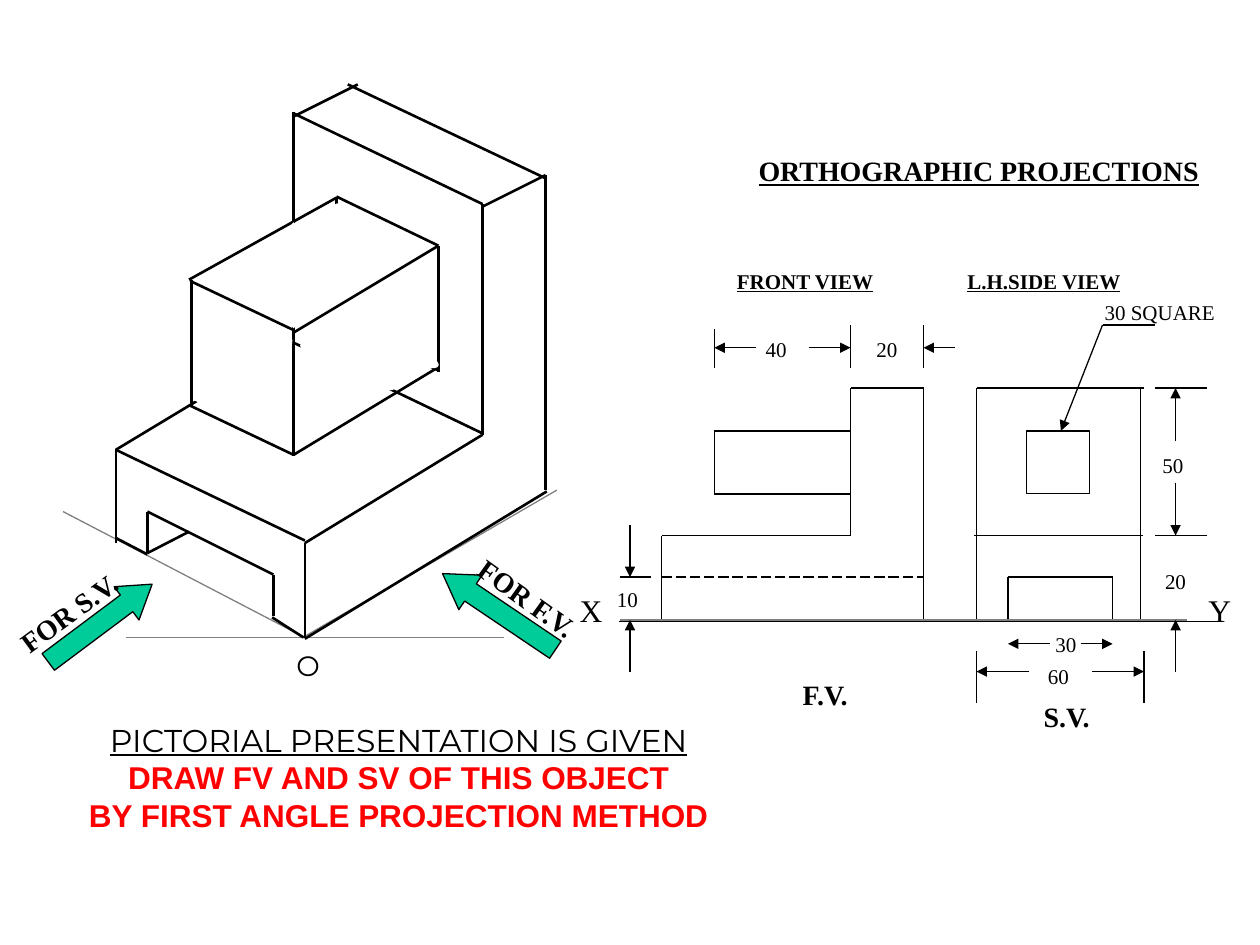
from dataclasses import dataclass
from itertools import pairwise

from lxml import etree
from pptx import Presentation
from pptx.dml.color import RGBColor
from pptx.enum.dml import MSO_LINE
from pptx.enum.shapes import MSO_CONNECTOR, MSO_SHAPE
from pptx.enum.text import MSO_ANCHOR, MSO_AUTO_SIZE, PP_ALIGN
from pptx.oxml.ns import qn
from pptx.util import Emu, Pt

PX = 9144
STRAIGHT = MSO_CONNECTOR.STRAIGHT
LONG_DASH = MSO_LINE.LONG_DASH
RECTANGLE, ELLIPSE = MSO_SHAPE.RECTANGLE, MSO_SHAPE.OVAL
PARALLELOGRAM, LEFT_ARROW = MSO_SHAPE.PARALLELOGRAM, MSO_SHAPE.LEFT_ARROW
LEFT, CENTER = PP_ALIGN.LEFT, PP_ALIGN.CENTER
TOP, NO_AUTOFIT = MSO_ANCHOR.TOP, MSO_AUTO_SIZE.NONE
BLACK, WHITE, GRAY, GREEN, RED = "000000", "FFFFFF", "808080", "00CC99", "FF0000"
SERIF = "Times New Roman"
THIN, THICK = 0.75, 1.5


@dataclass(frozen=True)
class Box:
    left: int
    top: int
    width: int
    height: int
    rotation: float = 0


@dataclass(frozen=True)
class Figure:
    kind: int
    box: Box
    fill: str = WHITE
    line: str = WHITE
    adjustments: tuple[float, ...] = ()
    flipped: bool = False


@dataclass(frozen=True)
class Label:
    text: str
    box: Box
    size: int = 12
    font: str = SERIF
    bold: bool = False
    underline: bool = False
    align: int = CENTER


def px(length: int) -> Emu:
    return Emu(length * PX)


def color(value: str) -> RGBColor:
    return RGBColor.from_string(value)


def draw_path(slide, points, line=BLACK, width=THIN, dash=None, arrow=False) -> None:
    for start, end in pairwise(points):
        connector = slide.shapes.add_connector(STRAIGHT, *map(px, start + end))
        connector.line.color.rgb = color(line)
        connector.line.width = Pt(width)
        if dash is not None:
            connector.line.dash_style = dash
        properties = connector._element.spPr
        if arrow:
            outline = properties.find(qn("a:ln"))
            etree.SubElement(outline, qn("a:tailEnd"), type="triangle")
        etree.SubElement(properties, qn("a:effectLst"))


def draw_paths(slide, paths, **style) -> None:
    for points in paths:
        draw_path(slide, points, **style)


def draw_figure(slide, figure: Figure) -> None:
    box = figure.box
    shape = slide.shapes.add_shape(
        figure.kind, px(box.left), px(box.top), px(box.width), px(box.height))
    shape.rotation = box.rotation
    for index, value in enumerate(figure.adjustments):
        shape.adjustments[index] = value
    if figure.flipped:
        shape._element.spPr.find(qn("a:xfrm")).set("flipH", "1")
    shape.shadow.inherit = False
    shape.fill.solid()
    shape.fill.fore_color.rgb = color(figure.fill)
    shape.line.color.rgb = color(figure.line)
    shape.line.width = Pt(THIN)


def write_text(paragraph, text: str, size=12, font=SERIF, fill=BLACK,
               bold=False, underline=False, align=CENTER) -> None:
    paragraph.alignment = align
    run = paragraph.add_run()
    run.text = text
    run.font.size = Pt(size)
    run.font.name = font
    run.font.color.rgb = color(fill)
    run.font.bold = bold
    run.font.underline = underline


def place_frame(shape, box: Box):
    shape.left, shape.top = px(box.left), px(box.top)
    shape.width, shape.height = px(box.width), px(box.height)
    shape.rotation = box.rotation
    frame = shape.text_frame
    frame.word_wrap = False
    frame.auto_size = NO_AUTOFIT
    frame.vertical_anchor = TOP
    frame.margin_left = frame.margin_right = px(10)
    frame.margin_top = frame.margin_bottom = px(5)
    return frame


def draw_label(slide, label: Label, shape=None) -> None:
    shape = shape or slide.shapes.add_textbox(0, 0, 0, 0)
    frame = place_frame(shape, label.box)
    write_text(frame.paragraphs[0], label.text, size=label.size, font=label.font,
               bold=label.bold, underline=label.underline, align=label.align)


VIEW_OUTLINES = [
    [(733, 492), (733, 308), (675, 308), (675, 425), (525, 425), (525, 492), (733, 492)],
    [(675, 342), (567, 342), (567, 392), (675, 392)],
    [(800, 492), (775, 492), (775, 308), (908, 308)],
    [(905, 308), (905, 492)],
    [(800, 492), (800, 458), (883, 458), (883, 492), (908, 492)],
    [(773, 425), (907, 425)],
]
EXTENSION_LINES = [
    [(567, 261), (567, 292)], [(675, 258), (675, 292)], [(733, 258), (733, 292)],
    [(917, 308), (958, 308)], [(917, 425), (958, 425)],
    [(775, 517), (775, 558)], [(908, 517), (908, 558)],
    [(492, 458), (517, 458)], [(875, 258), (917, 258)],
]
DIMENSION_ARROWS = [
    [(875, 258), (842, 342)],
    [(933, 350), (933, 308)], [(933, 383), (933, 425)], [(933, 533), (933, 492)],
    [(817, 533), (775, 533)], [(867, 533), (908, 533)],
    [(858, 511), (883, 511)], [(833, 511), (800, 511)],
    [(500, 417), (500, 458)], [(500, 533), (500, 492)],
    [(600, 276), (567, 276)], [(642, 276), (675, 276)], [(758, 276), (733, 276)],
]
DIMENSION_VALUES = [
    ("40", 598, 262), ("20", 686, 262), ("20", 915, 446), ("50", 913, 354),
    ("60", 822, 522), ("30", 828, 496), ("10", 480, 461),
]
GUIDE_LINES = [
    [(100, 506), (400, 506)], [(242, 505), (442, 389)], [(242, 506), (50, 406)],
]
SOLID_EDGES = [
    [(242, 506), (242, 431), (383, 345), (383, 162), (233, 90)],
    [(383, 344), (233, 272), (233, 89)],
    [(433, 389), (433, 139)], [(434, 142), (276, 67)],
    [(383, 164), (433, 139)], [(234, 92), (284, 67)],
    [(242, 429), (92, 357), (233, 272)], [(92, 431), (92, 356)],
    [(348, 295), (348, 195), (267, 156)],
    [(348, 294), (267, 255), (267, 156)],
    [(150, 222), (267, 157)], [(233, 361), (347, 292)],
    [(233, 362), (233, 262), (151, 223)],
    [(233, 361), (151, 322)], [(152, 322), (152, 222)],
]
HIDDEN_EDGE_MASKS = [
    Figure(PARALLELOGRAM, Box(142, 256, 102, 75, 24.2), adjustments=(0.34,), flipped=True),
    Figure(ELLIPSE, Box(229, 177, 8, 83)),
    Figure(ELLIPSE, Box(260, 162, 15, 93)),
    Figure(ELLIPSE, Box(252, 261, 100, 17, 24.6)),
]
BLOCK_TOP_EDGE = [(233, 264), (348, 195)]
BLOCK_BASE_MASK = Figure(ELLIPSE, Box(235, 284, 82, 14, 24.6))
SLOT_EDGES = [
    [(117, 439), (117, 406), (217, 456), (217, 489)],
    [(117, 439), (150, 422)], [(241, 506), (216, 490)],
    [(117, 440), (92, 427)], [(242, 507), (434, 390)],
]
VIEW_ARROWS = [
    Figure(LEFT_ARROW, Box(28, 478, 103, 33, 143.2), GREEN, BLACK, (0.5, 0.77)),
    Figure(LEFT_ARROW, Box(342, 469, 108, 33, 34), GREEN, BLACK, (0.5, 0.81)),
]
TITLE = Label("ORTHOGRAPHIC PROJECTIONS", Box(592, 117, 370, 37), 16,
              bold=True, underline=True, align=LEFT)
LABELS = [
    *(Label(text, Box(left, top, 36, 30)) for text, left, top in DIMENSION_VALUES),
    Label("30 SQUARE", Box(867, 233, 107, 30)),
    Label("F.V.", Box(625, 533, 60, 37), 16, bold=True),
    Label("S.V.", Box(817, 550, 59, 37), 16, bold=True),
    Label("O", Box(226, 510, 37, 37), 16, "Montserrat"),
    Label("FOR S.V.", Box(0, 467, 111, 37, 323.8), 16, bold=True, align=LEFT),
    Label("FOR F.V.", Box(364, 458, 113, 37, 35.6), 16, bold=True, align=LEFT),
    Label("FRONT VIEW", Box(575, 208, 129, 30), bold=True, underline=True, align=LEFT),
    Label("L.H.SIDE VIEW", Box(758, 208, 142, 30), bold=True, underline=True, align=LEFT),
    Label("X", Box(450, 464, 38, 40), 18),
    Label("Y", Box(949, 464, 38, 40), 18),
]


def draw_views(slide) -> None:
    draw_paths(slide, VIEW_OUTLINES)
    draw_figure(slide, Figure(RECTANGLE, Box(815, 342, 50, 50), line=BLACK))
    draw_path(slide, [(525, 458), (733, 458)], dash=LONG_DASH)
    draw_path(slide, [(492, 492), (942, 492)], line=GRAY)
    draw_paths(slide, EXTENSION_LINES)
    draw_paths(slide, DIMENSION_ARROWS, arrow=True)
    draw_path(slide, [(491, 493), (969, 493)])


def draw_pictorial(slide) -> None:
    draw_paths(slide, GUIDE_LINES, line=GRAY)
    draw_paths(slide, SOLID_EDGES, width=THICK)
    for mask in HIDDEN_EDGE_MASKS:
        draw_figure(slide, mask)
    draw_path(slide, BLOCK_TOP_EDGE, width=THICK)
    draw_figure(slide, BLOCK_BASE_MASK)
    draw_paths(slide, SLOT_EDGES, width=THICK)
    for arrow in VIEW_ARROWS:
        draw_figure(slide, arrow)


def draw_caption(slide) -> None:
    frame = place_frame(slide.shapes.add_textbox(0, 0, 0, 0), Box(60, 567, 513, 100))
    write_text(frame.paragraphs[0], "PICTORIAL PRESENTATION IS GIVEN",
               size=18, font="Montserrat", underline=True)
    for text in ("DRAW FV AND SV OF THIS OBJECT", "BY FIRST ANGLE PROJECTION METHOD"):
        write_text(frame.add_paragraph(), text, size=18, font="Arial", fill=RED, bold=True)


def main() -> None:
    presentation = Presentation()
    presentation.slide_width, presentation.slide_height = px(1000), px(750)
    slide = presentation.slides.add_slide(presentation.slide_layouts[5])
    draw_label(slide, TITLE, slide.shapes.title)
    draw_views(slide)
    draw_pictorial(slide)
    for label in LABELS:
        draw_label(slide, label)
    draw_caption(slide)
    presentation.save("out.pptx")


if __name__ == "__main__":
    main()
